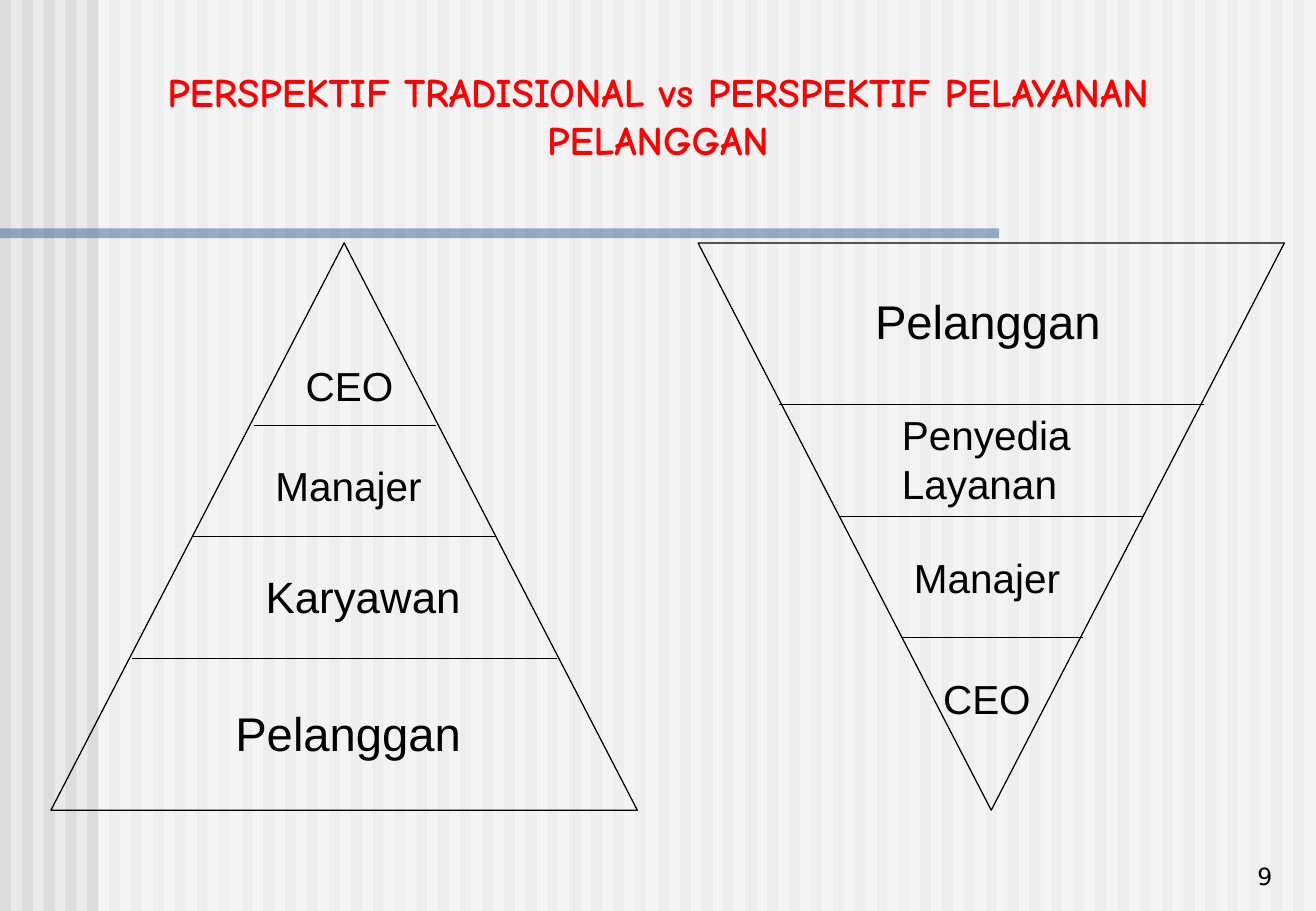
from lxml import etree
from pptx import Presentation
from pptx.dml.color import RGBColor
from pptx.enum import shapes, text
from pptx.oxml import ns
from pptx.util import Pt

PX = 9144  # 100 px to the inch
WIDTH, HEIGHT = 1084, 750
BLACK = RGBColor(0x00, 0x00, 0x00)
RED = RGBColor(0xFF, 0x00, 0x00)
WHITE = RGBColor(0xFF, 0xFF, 0xFF)
BLUE = RGBColor(0x33, 0x66, 0x99)
PALE_GREY = RGBColor(0xEA, 0xEA, 0xEA)
STRIPE_GREY = RGBColor(0xDD, 0xDD, 0xDD)


def write(box, content, size, font="Arial", color=BLACK, bold=False, wrap=False,
          align=text.PP_ALIGN.LEFT, anchor=text.MSO_ANCHOR.TOP,
          fit=text.MSO_AUTO_SIZE.SHAPE_TO_FIT_TEXT):
    """Fill a box with one paragraph per line of content."""
    frame = box.text_frame
    frame.text = content
    frame.word_wrap = wrap
    frame.auto_size = fit
    frame.vertical_anchor = anchor
    for paragraph in frame.paragraphs:
        paragraph.alignment = align
        paragraph.font.size = Pt(size)
        paragraph.font.name = font
        paragraph.font.bold = bold
        paragraph.font.color.rgb = color


def add_band(left, top, width, height, color, alpha=None):
    """Add a borderless rectangle, see-through if alpha (percent) is given."""
    band = slide.shapes.add_shape(shapes.MSO_SHAPE.RECTANGLE, left * PX, top * PX,
                                  width * PX, height * PX)
    band.shadow.inherit = False
    band.line.fill.background()
    band.fill.solid()
    band.fill.fore_color.rgb = color
    if alpha is not None:
        fill_color = band.element.spPr.find(ns.qn("a:solidFill"))[0]
        etree.SubElement(fill_color, ns.qn("a:alpha"), val=str(alpha * 1000))


prs = Presentation()
prs.slide_width, prs.slide_height = WIDTH * PX, HEIGHT * PX
slide = prs.slides.add_slide(prs.slide_layouts[5])

# Striped backdrop, lightened right of the margin
slide.background.fill.solid()
slide.background.fill.fore_color.rgb = PALE_GREY
for stripe in range(60):
    add_band(round(stripe * 18.05), 0, 9, HEIGHT, STRIPE_GREY)
add_band(81, 0, WIDTH - 81, HEIGHT, WHITE, alpha=50)
add_band(0, 188, 823, 8, BLUE, alpha=50)

# Title, brought in front of the backdrop
title = slide.shapes.title
slide.shapes.element.append(title.element)
title.left, title.top, title.width, title.height = 42 * PX, 50 * PX, 1000 * PX, 90 * PX
write(title, "PERSPEKTIF TRADISIONAL vs PERSPEKTIF PELAYANAN PELANGGAN", 24,
      font="Comic Neue", color=RED, bold=True, wrap=True,
      align=text.PP_ALIGN.CENTER, anchor=text.MSO_ANCHOR.BOTTOM)

# Pyramids: centre, rotation, dividers (half width, y),
# levels (label, size, left, top, width, height)
pyramids = [
    (284, 0, [(75, 350), (125, 442), (175, 542)],
     [("CEO", 24, 242, 292, 94, 50),
      ("Manajer", 24, 217, 375, 143, 50),
      ("Karyawan", 26, 209, 464, 183, 54),
      ("Pelanggan", 28, 184, 575, 208, 57)]),
    (817, 180, [(175, 333), (125, 425), (75, 525)],
     [("Pelanggan", 28, 711, 236, 208, 57),
      ("Penyedia\nLayanan", 24, 733, 333, 161, 90),
      ("Manajer", 24, 743, 450, 143, 50),
      ("CEO", 24, 767, 550, 94, 50)]),
]
for centre, rotation, dividers, levels in pyramids:
    pyramid = slide.shapes.add_shape(shapes.MSO_SHAPE.ISOSCELES_TRIANGLE, (centre - 242) * PX,
                                     200 * PX, 483 * PX, 467 * PX)
    pyramid.rotation = rotation
    pyramid.shadow.inherit = False
    pyramid.fill.background()
    outlines = [pyramid]
    for half, y in dividers:
        divider = slide.shapes.add_connector(shapes.MSO_CONNECTOR.STRAIGHT, (centre - half) * PX,
                                             y * PX, (centre + half) * PX, y * PX)
        outlines.append(divider)
    for outline in outlines:
        outline.line.color.rgb = BLACK
        outline.line.width = Pt(0.75)
    for divider in outlines[1:]:
        etree.SubElement(divider.element.spPr, ns.qn("a:effectLst"))
    for label, size, *place in levels:
        level = slide.shapes.add_textbox(*(length * PX for length in place))
        write(level, label, size)

page_number = slide.shapes.add_textbox(832 * PX, 688 * PX, 226 * PX, 50 * PX)
write(page_number, "9", 14, font="DejaVu Sans", wrap=True, align=text.PP_ALIGN.RIGHT,
      anchor=text.MSO_ANCHOR.BOTTOM, fit=text.MSO_AUTO_SIZE.NONE)

prs.save("out.pptx")
